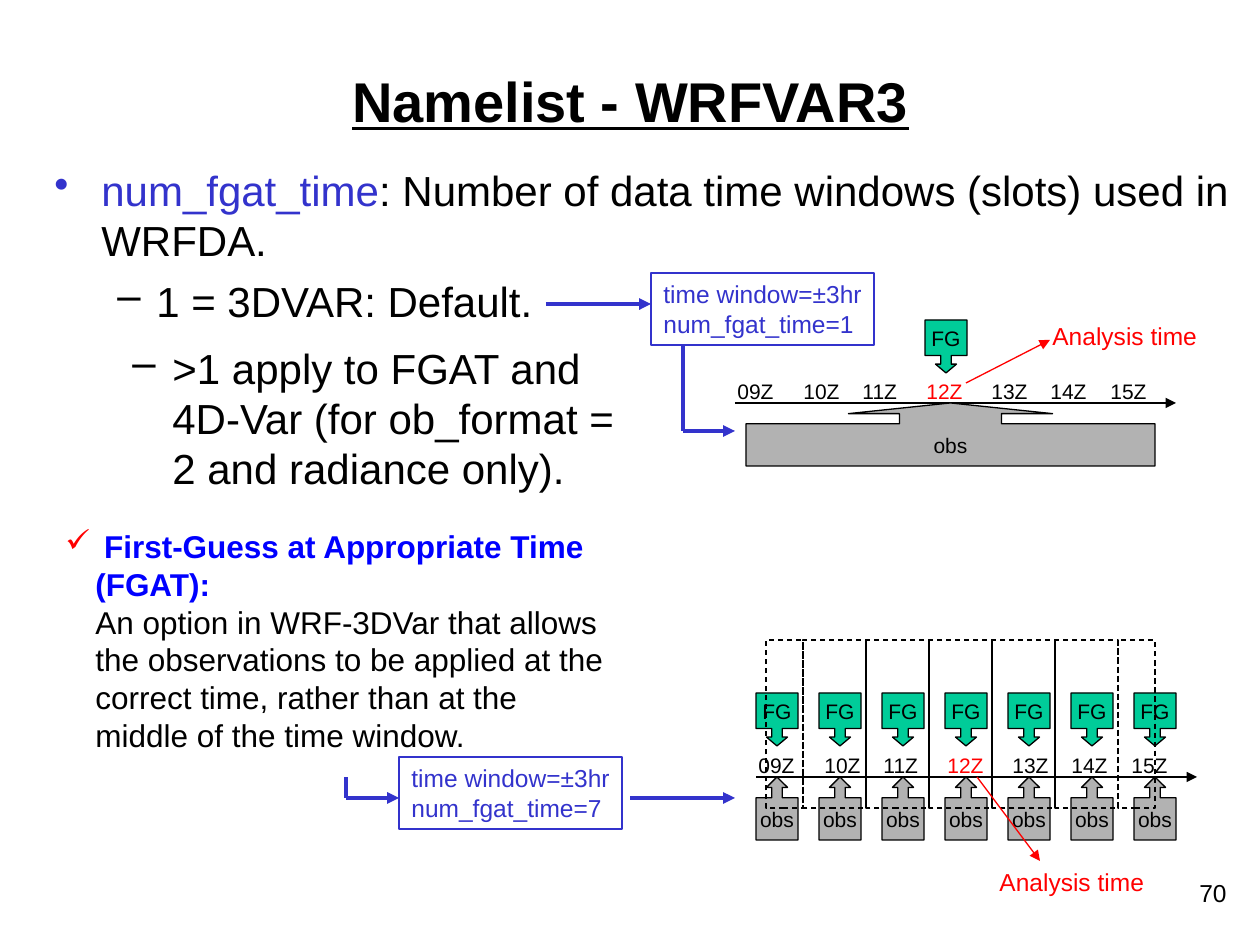
from lxml import etree
from pptx import Presentation
from pptx import util as u
from pptx.dml.color import RGBColor
from pptx.enum import dml, shapes, text
from pptx.oxml.ns import qn

PX = 914400 / 126
COLORS = {"black": "000000", "blue": "3333CC", "bright": "0000FF", "red": "FF0000",
          "green": "00CC99", "gray": "B2B2B2", "white": "FFFFFF"}

# Content: a paragraph is a list of (words, colour, bold) runs
TITLE = "Namelist - WRFVAR3"
NUMBER = "70"
BODY = [
    [("num_fgat_time", "blue", False),
     (": Number of data time windows (slots) used in WRFDA.", "black", False)],
    [("1 = 3DVAR: Default.", "black", False)],
]
APPLY = [[(">1 apply to FGAT and 4D-Var (for ob_format = 2 and radiance only).",
           "black", False)]]
FGAT = [
    [(" ", "blue", False), ("First-Guess at Appropriate Time (FGAT):", "bright", True)],
    [("An option in WRF-3DVar that allows the observations to be applied at the correct "
      "time, rather than at the middle of the time window.", "black", False)],
]
HOURS = [[("09Z\t10Z\t11Z\t", "black", False), ("12Z", "red", False),
          ("\t13Z\t14Z\t15Z", "black", False)]]
HOUR_TABS = [66, 125, 189, 254, 313, 373]
WINDOWS = [(651, 273, "1"), (399, 757, "7")]  # left, top, number of slots
ANALYSIS = [[("Analysis time", "red", False)]]

# Time slots of the lower timeline
SLOT_LEFT, SLOT_STEP, SLOT_WIDTH, SLOT_COUNT = 756, 63, 42, 7


def px(value):
    return u.Emu(round(value * PX))


def rgb(name):
    return RGBColor.from_string(COLORS[name])


def write(box, paras, size, align=None, wrap=True, middle=False):
    frame = box.text_frame
    frame.word_wrap = wrap
    frame.vertical_anchor = text.MSO_ANCHOR.MIDDLE if middle else text.MSO_ANCHOR.TOP
    for index, runs in enumerate(paras):
        para = frame.add_paragraph() if index else frame.paragraphs[0]
        para.alignment = align or text.PP_ALIGN.LEFT
        for words, color, bold in runs:
            span = para.add_run()
            span.text = words
            span.font.name = "Arial"
            span.font.size = u.Pt(size)
            span.font.bold = bold
            span.font.color.rgb = rgb(color)
    return frame.paragraphs


def add_text(parent, at, paras, size, **options):
    box = parent.add_textbox(*map(px, at))
    return box, write(box, paras, size, **options)


def set_indent(para, margin, first=0, bullet=None, color="black"):
    props = para._p.get_or_add_pPr()
    props.set("marL", str(px(margin)))
    props.set("indent", str(px(first)))
    if bullet:
        tint = etree.SubElement(props, qn("a:buClr"))
        etree.SubElement(tint, qn("a:srgbClr"), val=COLORS[color])
        etree.SubElement(props, qn("a:buChar"), char=bullet)


def add_shape(parent, kind, at, fill=None, line="black"):
    shape = parent.add_shape(kind, *map(px, at))
    shape.shadow.inherit = False
    if fill:
        shape.fill.solid()
        shape.fill.fore_color.rgb = rgb(fill)
    else:
        shape.fill.background()
    if line:
        shape.line.color.rgb = rgb(line)
        shape.line.width = u.Pt(0.75)
    else:
        shape.line.fill.background()
    return shape


def add_line(parent, ends, color="blue", width=2.25, arrow=True):
    line = parent.add_connector(shapes.MSO_CONNECTOR.STRAIGHT, *map(px, ends))
    line.line.color.rgb = rgb(color)
    line.line.width = u.Pt(width)
    if arrow:
        etree.SubElement(line.line._get_or_add_ln(), qn("a:tailEnd"), type="triangle")
    etree.SubElement(line._element.spPr, qn("a:effectLst"))


def add_callout(parent, label, at, adjustments):
    up = label == "obs"
    kind = shapes.MSO_SHAPE.UP_ARROW_CALLOUT if up else shapes.MSO_SHAPE.DOWN_ARROW_CALLOUT
    shape = add_shape(parent, kind, at, "gray" if up else "green")
    for index, value in enumerate(adjustments):
        shape.adjustments[index] = value
    write(shape, [[(label, "black", False)]], 12, text.PP_ALIGN.CENTER, False, True)


def add_axis(parent, left, right, y, text_left):
    add_line(parent, (left, y, right, y), "black", 0.75)
    _, paras = add_text(parent, (text_left, y - 31, 462, 77), HOURS, 12)
    tabs = etree.SubElement(paras[0]._p.get_or_add_pPr(), qn("a:tabLst"))
    for stop in HOUR_TABS:
        etree.SubElement(tabs, qn("a:tab"), pos=str(px(stop)), algn="l")


deck = Presentation()
deck.slide_width, deck.slide_height = px(1260), px(945)
page = deck.slides.add_slide(deck.slide_layouts[6])
canvas = page.shapes

# Page number, body and title
add_text(canvas, (977, 872, 262, 63), [[(NUMBER, "black", False)]], 14,
         align=text.PP_ALIGN.RIGHT)
_, (window_para, default_para) = add_text(canvas, (42, 158, 1207, 483), BODY, 24)
set_indent(window_para, 47, -47, "•", "blue")
set_indent(default_para, 102, -39, "–")
default_para.space_before = u.Pt(6)
_, (title_para,) = add_text(canvas, (95, 21, 1071, 158), [[(TITLE, "black", True)]], 32,
                            align=text.PP_ALIGN.CENTER, middle=True)
title_para.runs[0].font.underline = True

# First-guess explanation
fgat_box, (head_para, detail_para) = add_text(canvas, (53, 483, 577, 277), FGAT, 18)
fgat_box.text_frame.margin_top = px(44)
set_indent(head_para, 30, -30, "✓", "red")
set_indent(detail_para, 30)

# Lower timeline: one first guess and one obs block per slot
lower = canvas.add_group_shape().shapes
add_axis(lower, 756, 1197, 777, 746)
slots = [SLOT_LEFT + SLOT_STEP * i for i in range(SLOT_COUNT)]
for left in slots:
    add_callout(lower, "obs", (left, 777, SLOT_WIDTH, 63), (0.25, 0.25, 0.25, 0.67))
for left in slots:
    add_callout(lower, "FG", (left, 693, SLOT_WIDTH, 53), (0.25, 0.25, 0.21, 0.67))
edges = [766] + [803 + SLOT_STEP * i for i in range(SLOT_COUNT - 1)] + [1155]
for left, right in zip(edges, edges[1:]):
    frame = add_shape(lower, shapes.MSO_SHAPE.RECTANGLE, (left, 640, right - left, 168))
    frame.line.dash_style = dml.MSO_LINE.DASH

# Arrows into both timelines
add_line(canvas, (683, 431, 735, 431))
add_line(canvas, (630, 798, 735, 798))

# Upper timeline: a single first guess and one wide obs block
upper = canvas.add_group_shape().shapes
add_axis(upper, 735, 1176, 403, 725)
add_callout(upper, "obs", (746, 403, 409, 63), (1.62, 1.62, 0.17, 0.67))
add_callout(upper, "FG", (925, 320, 42, 53), (0.25, 0.25, 0.21, 0.67))
add_line(upper, (966, 383, 1050, 340), "red", 0.75)
add_text(upper, (1040, 315, 170, 43), ANALYSIS, 14, wrap=False)

# Time window boxes
for left, top, count in WINDOWS:
    box = add_shape(canvas, shapes.MSO_SHAPE.RECTANGLE, (left, top, 223, 72), line="blue")
    write(box, [[("time window=±3hr", "blue", False)],
                [("num_fgat_time=" + count, "blue", False)]], 14, wrap=False)

# Elbows leaving the texts
add_line(canvas, (683, 431, 683, 346), arrow=False)
add_line(canvas, (346, 798, 399, 798))
add_line(canvas, (346, 798, 346, 777), arrow=False)

# Second option and its neighbours
_, (apply_para,) = add_text(canvas, (105, 336, 525, 241), APPLY, 24)
set_indent(apply_para, 55, -40, "–")
add_line(canvas, (546, 304, 651, 304))
add_line(canvas, (977, 777, 1040, 861), "red", 0.75)
label = add_shape(canvas, shapes.MSO_SHAPE.RECTANGLE, (987, 861, 170, 43), "white", None)
write(label, ANALYSIS, 14, wrap=False)

deck.save("out.pptx")
